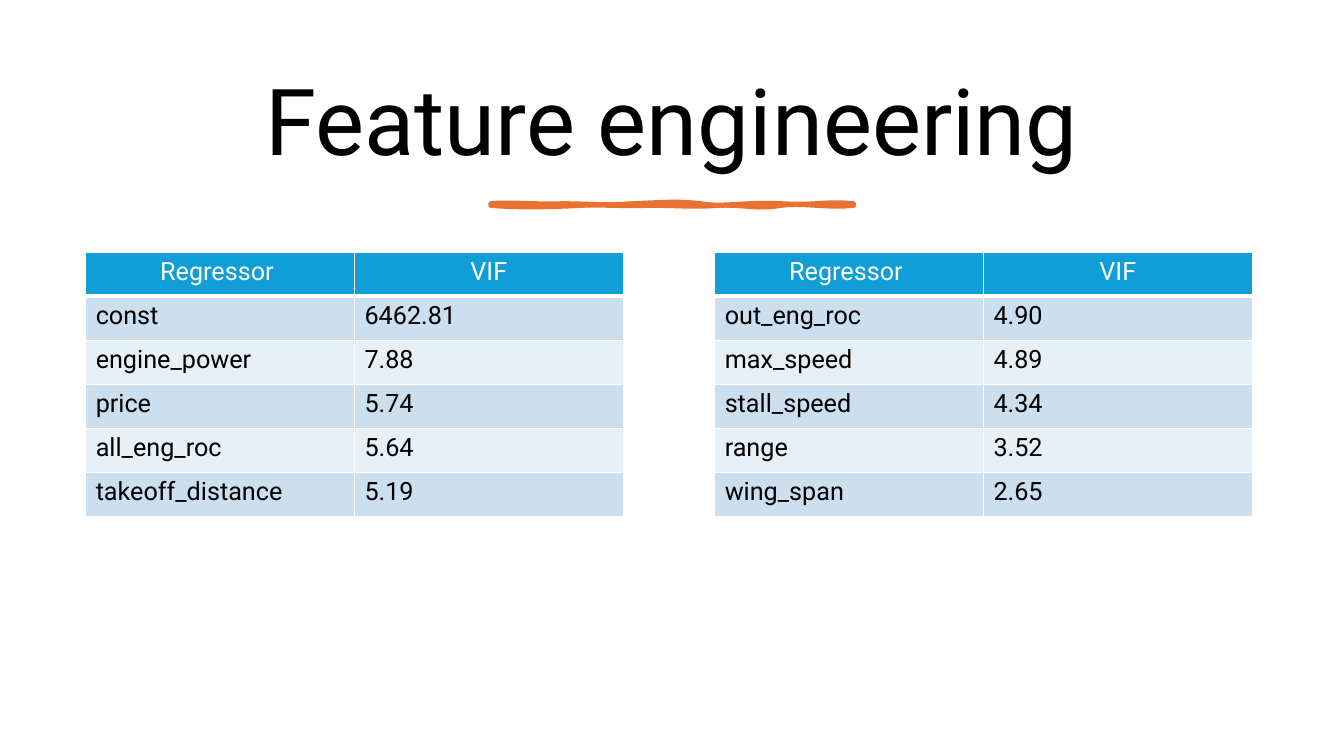
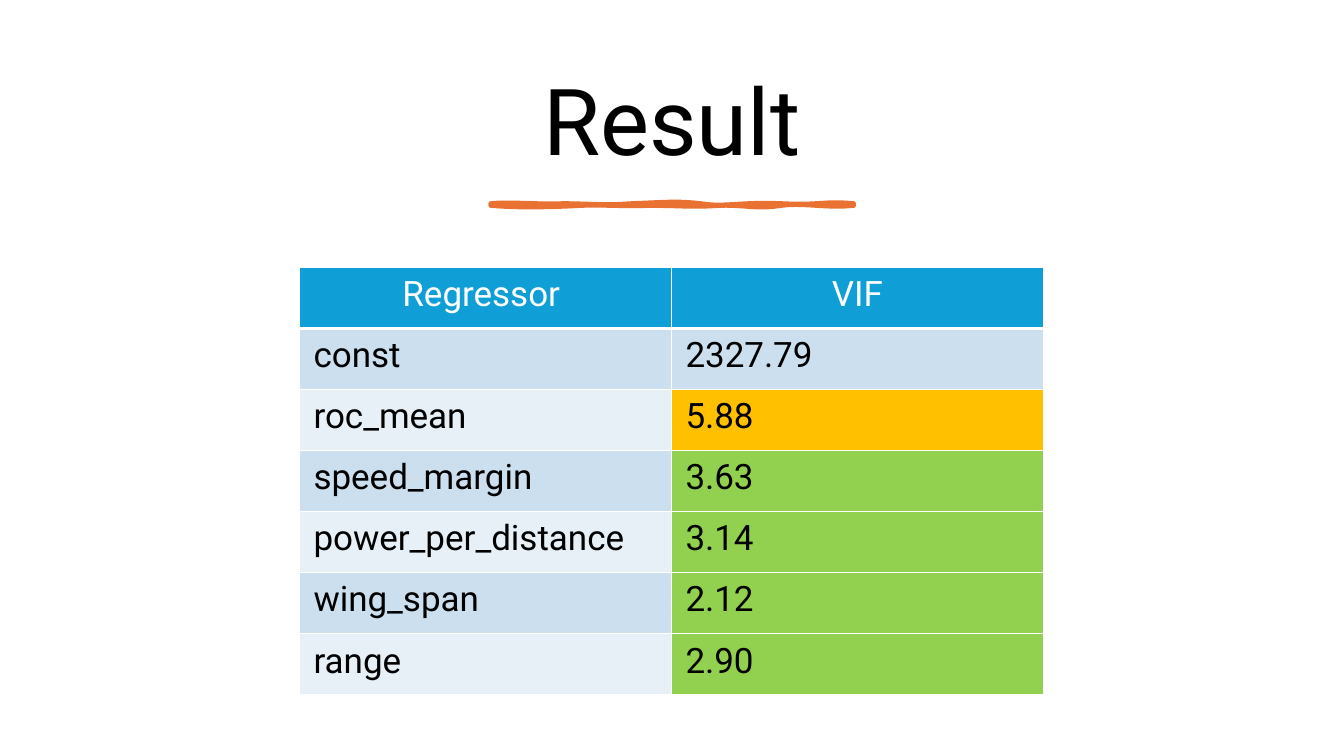
from lxml import etree
from pptx import Presentation
from pptx import util as u
from pptx.dml import color
from pptx.enum import text
from pptx.oxml import ns

FONT = "Roboto"
BLACK, WHITE = "000000", "FFFFFF"
ACCENT, HEADER = "E97132", "0F9ED5"
BANDS = ("CCDFEF", "E7F0F7")
AMBER, GREEN = "FFC000", "92D050"
HEADINGS = ("Regressor ", "VIF")

UPPER_EDGE = [
    (350.6, 145.4), (364.3, 144), (385.2, 146.2), (402.5, 145.4),
    (419, 145.4), (432, 146.9), (451.4, 145.4),
    (470.9, 144.7), (483.8, 143.3), (500.4, 145.4),
    (517.7, 148.3), (529.2, 144), (558, 145.4),
    (586.1, 146.9), (588.2, 143.3), (609.8, 145.4),
]
LOWER_EDGE = [
    (609.8, 146.9), (590.4, 149), (574.6, 144.7), (558, 146.9),
    (540.7, 149.8), (532.1, 146.2), (513.4, 146.9),
    (495.4, 148.3), (484.6, 146.9), (464.4, 146.9),
    (444.2, 147.6), (429.1, 146.2), (415.4, 146.9),
    (401, 147.6), (374.4, 149), (350.6, 146.9),
]


def rgb(value):
    return color.RGBColor.from_string(value)


def format_paragraph(para, size, ink, align):
    para.alignment = align
    for span in para.runs:
        span.font.name = FONT
        span.font.size = u.Pt(size)
        span.font.bold = False
        span.font.color.rgb = rgb(ink)


def add_title(page, title):
    box = page.shapes.title
    box.left, box.top = u.Pt(50.4), u.Pt(36)
    box.width, box.height = u.Pt(859), u.Pt(108)
    frame = box.text_frame
    frame.text = title
    frame.word_wrap = True
    frame.auto_size = text.MSO_AUTO_SIZE.NONE
    frame.vertical_anchor = text.MSO_ANCHOR.MIDDLE
    para = frame.paragraphs[0]
    para.line_spacing = 0.9
    para.space_after = u.Pt(6)
    format_paragraph(para, 66, BLACK, text.PP_ALIGN.CENTER)


def sample_curve(controls, steps=10):
    points = [controls[0]]
    for first in range(0, len(controls) - 1, 3):
        segment = controls[first:first + 4]
        for step in range(1, steps + 1):
            t = step / steps
            weights = ((1 - t) ** 3, 3 * t * (1 - t) ** 2, 3 * t ** 2 * (1 - t), t ** 3)
            points.append(tuple(
                sum(w * point[axis] for w, point in zip(weights, segment))
                for axis in (0, 1)))
    return points


def add_underline(page):
    outline = [(u.Pt(x), u.Pt(y))
               for x, y in sample_curve(UPPER_EDGE) + sample_curve(LOWER_EDGE)]
    builder = page.shapes.build_freeform(*outline[0])
    builder.add_line_segments(outline[1:], close=True)
    stroke = builder.convert_to_shape()
    stroke.shadow.inherit = False
    stroke.fill.solid()
    stroke.fill.fore_color.rgb = rgb(ACCENT)
    stroke.line.color.rgb = rgb(ACCENT)
    stroke.line.width = u.Pt(3.25)


def set_borders(cell, widths):
    properties = cell._tc.get_or_add_tcPr()
    for side, width in widths.items():
        line = etree.SubElement(properties, ns.qn(f"a:ln{side}"), w=str(u.Pt(width)))
        fill = etree.SubElement(line, ns.qn("a:solidFill"))
        etree.SubElement(fill, ns.qn("a:srgbClr"), val=WHITE)


def format_cell(cell, content, row, size, fill):
    is_header = row == 0
    set_borders(cell, {"L": 1, "R": 1, "T": 3 if row == 1 else 1, "B": 3 if is_header else 1})
    cell.fill.solid()
    cell.fill.fore_color.rgb = rgb(fill)
    cell.margin_left = cell.margin_right = u.Pt(0.4 * size)
    cell.margin_top = cell.margin_bottom = u.Pt(0.2 * size)
    cell.text_frame.text = content
    format_paragraph(cell.text_frame.paragraphs[0], size, WHITE if is_header else BLACK,
                     text.PP_ALIGN.CENTER if is_header else text.PP_ALIGN.LEFT)


def add_vif_table(page, left, top, column_width, row_height, size, records, value_fills=None):
    rows = [HEADINGS, *records]
    table = page.shapes.add_table(
        len(rows), len(HEADINGS), u.Pt(left), u.Pt(top),
        u.Pt(column_width * len(HEADINGS)), u.Pt(row_height * len(rows))).table
    table.first_row = table.horz_banding = False
    for row, values in enumerate(rows):
        for column, content in enumerate(values):
            fill = HEADER if row == 0 else BANDS[(row - 1) % 2]
            if column == 1 and value_fills:
                fill = value_fills.get(values[0], fill)
            format_cell(table.cell(row, column), content, row, size, fill)


def add_page(deck, title):
    page = deck.slides.add_slide(deck.slide_layouts[5])
    add_title(page, title)
    add_underline(page)
    return page


def main():
    deck = Presentation()
    deck.slide_width, deck.slide_height = u.Pt(960), u.Pt(540)

    page = add_page(deck, "Feature engineering")
    highest = [("const", "6462.81"), ("engine_power", "7.88"), ("price", "5.74"),
               ("all_eng_roc", "5.64"), ("takeoff_distance", "5.19")]
    lowest = [("out_eng_roc", "4.90"), ("max_speed", "4.89"), ("stall_speed", "4.34"),
              ("range", "3.52"), ("wing_span", "2.65")]
    for left, records in ((61.2, highest), (510.5, lowest)):
        add_vif_table(page, left, 180, 192, 31.5, 18, records)

    page = add_page(deck, "Result")
    selected = [("const", "2327.79"), ("roc_mean", "5.88"), ("speed_margin", "3.63"),
                ("power_per_distance", "3.14"), ("wing_span", "2.12"), ("range", "2.90")]
    value_fills = {name: AMBER if float(vif) > 5 else GREEN for name, vif in selected[1:]}
    add_vif_table(page, 214, 191, 265.7, 43.6, 25, selected, value_fills)

    deck.save("out.pptx")


if __name__ == "__main__":
    main()
